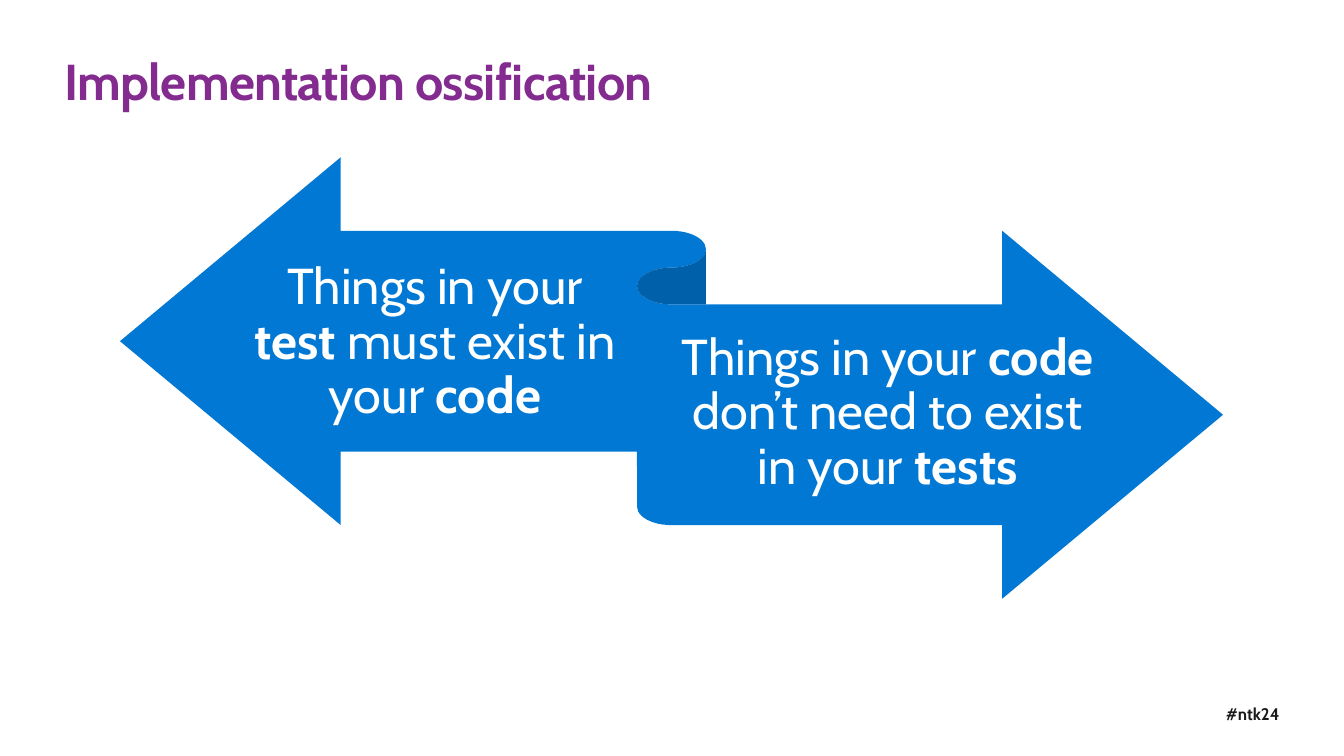
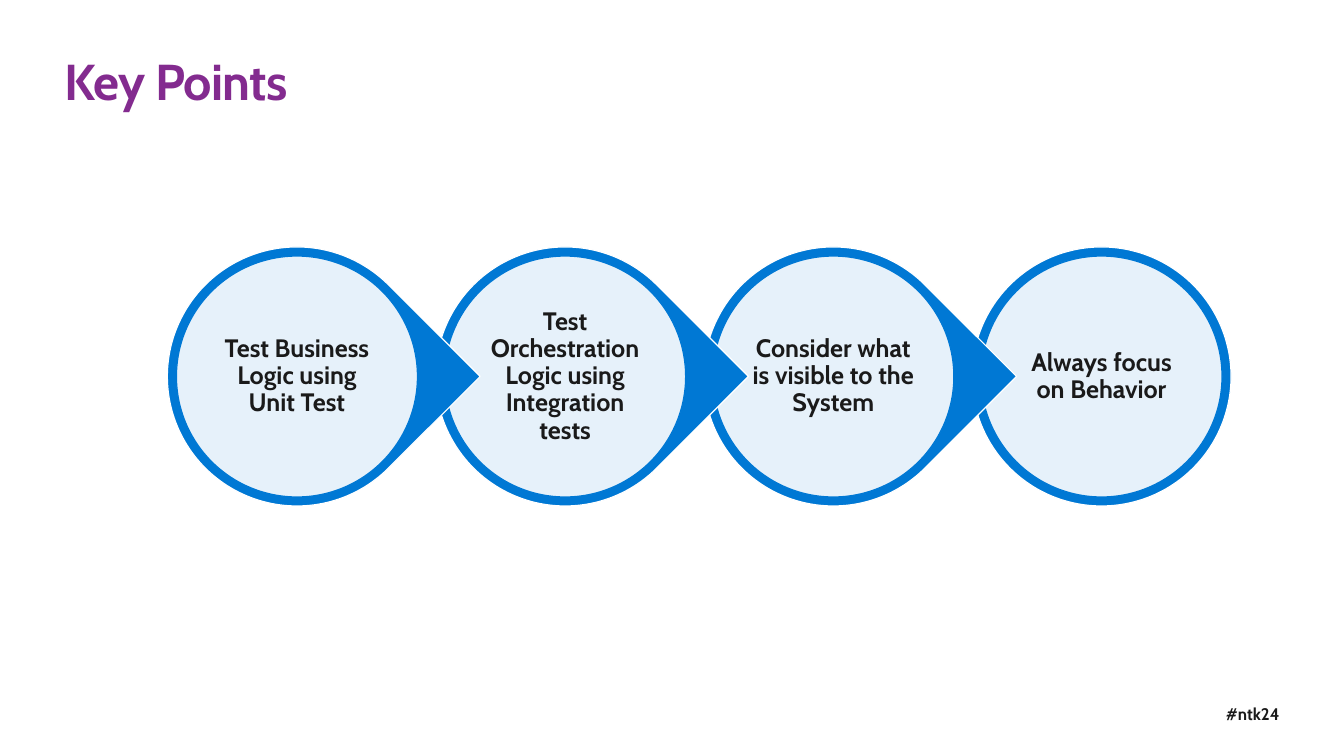
from dataclasses import dataclass

from lxml import etree
from pptx import Presentation
from pptx import util as u
from pptx.dml.color import RGBColor
from pptx.enum import shapes, text
from pptx.oxml.ns import qn
from pptx.shapes.autoshape import Shape
from pptx.slide import Slide

COLORS = {
    "title": "832B8F",
    "blue": "0078D4",
    "ink": "1A1A1A",
    "white": "FFFFFF",
}
FONT = "Cabin"


@dataclass(frozen=True)
class Area:
    left: float
    top: float
    width: float
    height: float

    def lengths(self) -> list[u.Length]:
        return [u.Inches(n) for n in (self.left, self.top, self.width, self.height)]

    def inset(self, gap: float) -> "Area":
        return Area(self.left + gap, self.top + gap,
                    self.width - 2 * gap, self.height - 2 * gap)


@dataclass(frozen=True)
class Span:
    words: str
    bold: bool = False


@dataclass(frozen=True)
class TextStyle:
    size: float
    color: str
    centered: bool = False
    margin_x: float = 0
    margin_top: float = 0
    margin_bottom: float = 0
    tracking: float = 0


@dataclass(frozen=True)
class ArrowLabel:
    area: Area
    spans: tuple[Span, ...]


TITLE = TextStyle(36, "title", tracking=-0.5)
HASHTAG = TextStyle(12, "ink")
ARROW_TEXT = TextStyle(36, "white", centered=True, margin_top=0.14, margin_bottom=0.15)
STEP_TEXT = TextStyle(18, "ink", centered=True, margin_x=0.03,
                      margin_top=0.03, margin_bottom=0.03)

ARROW_LABELS = (
    ArrowLabel(Area(2.51, 2.33, 3.61, 2.15), (
        Span("Things in your "), Span("test", True),
        Span(" must exist in your "), Span("code", True))),
    ArrowLabel(Area(6.67, 3.03, 4.27, 2.15), (
        Span("Things in your "), Span("code", True),
        Span(" don’t need to exist in your "), Span("tests", True))),
)

STEPS = (
    "Test Business Logic using Unit Test",
    "Test Orchestration Logic using Integration tests",
    "Consider what is visible to the System",
    "Always focus on Behavior",
)
FIRST_STEP = Area(1.66, 2.45, 2.57, 2.57)
STEP_PITCH = 2.66
RING_WIDTH = 0.09
LABEL_INSET = 0.43


def rgb(name: str) -> RGBColor:
    return RGBColor.from_string(COLORS[name])


def add_text(page: Slide, area: Area, spans: tuple[Span, ...], style: TextStyle) -> None:
    box = page.shapes.add_textbox(*area.lengths())
    frame = box.text_frame
    frame.word_wrap = True
    frame.margin_left = frame.margin_right = u.Inches(style.margin_x)
    frame.margin_top = u.Inches(style.margin_top)
    frame.margin_bottom = u.Inches(style.margin_bottom)
    para = frame.paragraphs[0]
    if style.centered:
        frame.vertical_anchor = text.MSO_ANCHOR.MIDDLE
        para.alignment = text.PP_ALIGN.CENTER
        para.line_spacing = 0.9
    for span in spans:
        run = para.add_run()
        run.text = span.words
        run.font.name = FONT
        run.font.size = u.Pt(style.size)
        run.font.bold = span.bold
        run.font.color.rgb = rgb(style.color)
        if style.tracking:
            run.font._element.set("spc", str(round(style.tracking * 100)))


def add_filled(page: Slide, kind: shapes.MSO_SHAPE, area: Area,
               fill: str, line: str | None = None) -> Shape:
    shape = page.shapes.add_shape(kind, *area.lengths())
    shape.shadow.inherit = False
    shape.fill.solid()
    shape.fill.fore_color.rgb = rgb(fill)
    if line:
        shape.line.color.rgb = rgb(line)
        shape.line.width = u.Pt(0.85)
    else:
        shape.line.fill.background()
    return shape


def set_opacity(shape: Shape, percent: int) -> None:
    color = shape._element.spPr.find(qn("a:solidFill")).find(qn("a:srgbClr"))
    etree.SubElement(color, qn("a:alpha")).set("val", str(percent * 1000))


def add_page(deck: Presentation, title: str) -> Slide:
    """Add a blank page with the shared title and hashtag."""
    page = deck.slides.add_slide(deck.slide_layouts[6])
    add_text(page, Area(12.16, 6.98, 1.06, 0.2), (Span("#ntk24", True),), HASHTAG)
    add_text(page, Area(0.64, 0.5, 12.05, 0.61), (Span(title, True),), TITLE)
    return page


def add_step(page: Slide, index: int, label: str) -> None:
    """Draw one ringed circle; all but the last point to the next step."""
    area = Area(FIRST_STEP.left + index * STEP_PITCH, FIRST_STEP.top,
                FIRST_STEP.width, FIRST_STEP.height)
    is_last = index == len(STEPS) - 1
    kind = shapes.MSO_SHAPE.OVAL if is_last else shapes.MSO_SHAPE.TEAR
    ring = add_filled(page, kind, area, "blue", "white")
    if not is_last:
        ring.rotation = 45
    disc = add_filled(page, shapes.MSO_SHAPE.OVAL, area.inset(RING_WIDTH), "white", "blue")
    set_opacity(disc, 90)
    add_text(page, area.inset(LABEL_INSET), (Span(label, True),), STEP_TEXT)


def build_ossification(deck: Presentation) -> None:
    page = add_page(deck, "Implementation ossification")
    add_filled(page, shapes.MSO_SHAPE.LEFT_RIGHT_RIBBON,
               Area(1.19, 1.56, 10.94, 4.38), "blue")
    for label in ARROW_LABELS:
        add_text(page, label.area, label.spans, ARROW_TEXT)


def build_key_points(deck: Presentation) -> None:
    page = add_page(deck, "Key Points")
    # Last step first, so that each point overlaps the circle after it
    for index, label in reversed(list(enumerate(STEPS))):
        add_step(page, index, label)


def main() -> None:
    deck = Presentation()
    deck.slide_width = u.Inches(13.33)
    deck.slide_height = u.Inches(7.5)
    build_ossification(deck)
    build_key_points(deck)
    deck.save("out.pptx")


if __name__ == "__main__":
    main()
